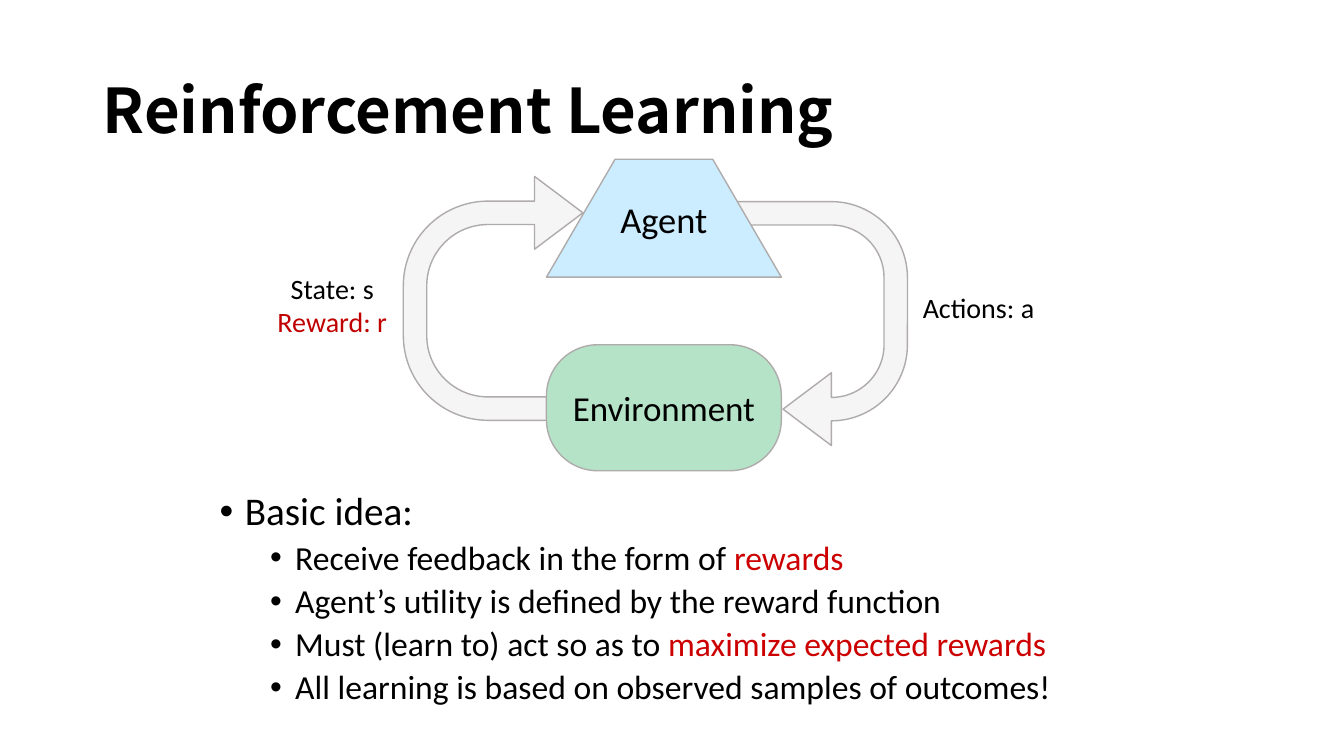
from lxml import etree
from pptx import Presentation
from pptx.dml.color import RGBColor
from pptx.enum.shapes import MSO_SHAPE
from pptx.enum.text import MSO_ANCHOR, MSO_AUTO_SIZE, PP_ALIGN
from pptx.oxml.ns import qn
from pptx.util import Inches, Pt

TRAP, ROUND, UTURN = (MSO_SHAPE.TRAPEZOID, MSO_SHAPE.ROUNDED_RECTANGLE,
                      MSO_SHAPE.U_TURN_ARROW)
TOP, MIDDLE = MSO_ANCHOR.TOP, MSO_ANCHOR.MIDDLE
LEFT, CENTER = PP_ALIGN.LEFT, PP_ALIGN.CENTER
BLACK, RED, DARK_RED = "000000", "CC0000", "C00000"
GRAY, EDGE = "F5F5F5", "AFABAB"

TITLE = "Reinforcement Learning"
# Each line is a list of (text, colour) runs.
IDEA = [
    [("Basic idea:", BLACK)],
    [("Receive feedback in the form of ", BLACK), ("rewards", RED)],
    [("Agent’s utility is defined by the reward function", BLACK)],
    [("Must (learn to) act so as to ", BLACK),
     ("maximize expected rewards", RED)],
    [("All learning is based on observed samples of outcomes!", BLACK)],
]
# Left, top, rotation, arrow tip position
ARROWS = [(3.75, 2, 270, 0.928), (6.83, 2.25, 90, 0.643)]
# Kind, top, height, adjustment, fill, text, size, anchor, top margin
NODES = [
    (ROUND, 3.42, 1.25, 0.406, "B5E3C8", "Environment", 25, MIDDLE, 0.05),
    (TRAP, 1.58, 1.17, 0.582, "CCECFF", "Agent", 26, TOP, 0.15),
]
# Left, top, height, lines
LABELS = [
    (8.83, 2.83, 0.44, [[("Actions: a", BLACK)]]),
    (2.42, 2.64, 0.77, [[("State: s", BLACK)], [("Reward: r", DARK_RED)]]),
]


def color(code):
    return RGBColor.from_string(code)


def bullet(para, left):
    props = para._p.get_or_add_pPr()
    props.set("marL", str(Inches(left)))
    props.set("indent", str(Inches(-0.25)))
    etree.SubElement(props, qn("a:buFont")).set("typeface", "Arial")
    etree.SubElement(props, qn("a:buChar")).set("char", "•")


def write(frame, lines, sizes, font="Calibri", bold=False, align=CENTER,
          anchor=TOP, space=None, before=0, marks=()):
    """Fill a frame; the last size and mark serve all further lines."""
    frame.word_wrap = True
    frame.auto_size = MSO_AUTO_SIZE.NONE
    frame.vertical_anchor = anchor
    for i, line in enumerate(lines):
        para = frame.add_paragraph() if i else frame.paragraphs[0]
        if marks:
            bullet(para, marks[min(i, len(marks) - 1)])
        para.alignment = align
        if space:
            para.line_spacing = space
        if i and before:
            para.space_before = Pt(before)
        for text, code in line:
            run = para.add_run()
            run.text = text
            run.font.name = font
            run.font.size = Pt(sizes[min(i, len(sizes) - 1)])
            run.font.bold = bold
            run.font.color.rgb = color(code)


def draw(slide, kind, box, fill, adjust):
    shape = slide.shapes.add_shape(kind, *map(Inches, box))
    shape.shadow.inherit = False
    shape.fill.solid()
    shape.fill.fore_color.rgb = color(fill)
    shape.line.color.rgb = color(EDGE)
    shape.line.width = Pt(1)
    for i, value in enumerate(adjust):
        shape.adjustments[i] = value
    return shape


def main():
    deck = Presentation()
    deck.slide_width, deck.slide_height = Inches(13.33), Inches(7.5)
    slide = deck.slides.add_slide(deck.slide_layouts[5])

    title = slide.shapes.title
    title.left, title.top = Inches(0.92), Inches(0.4)
    title.width, title.height = Inches(11.5), Inches(1.45)
    write(title.text_frame, [[(TITLE, BLACK)]], [44],
          font="Noto Sans CJK SC", bold=True, align=LEFT, anchor=MIDDLE,
          space=0.9)

    for left, top, turn, tip in ARROWS:
        arrow = draw(slide, UTURN, (left, top, 2.42, 1.92), GRAY,
                     (0.121, 0.188, 0.25, 0.438, tip))
        arrow.rotation = turn

    for kind, top, high, adjust, fill, text, size, anchor, inset in NODES:
        node = draw(slide, kind, (5.42, top, 2.33, high), fill, [adjust])
        frame = node.text_frame
        frame.margin_top = Inches(inset)
        # Keep the long word on one line inside the rounded corners.
        frame.margin_left = frame.margin_right = 0
        write(frame, [[(text, BLACK)]], [size], anchor=anchor)

    for left, top, high, lines in LABELS:
        label = slide.shapes.add_textbox(
            *map(Inches, (left, top, 1.75, high)))
        write(label.text_frame, lines, [20])

    body = slide.shapes.add_textbox(*map(Inches, (2.08, 4.83, 9.17, 2.25)))
    write(body.text_frame, IDEA, [28, 24], align=LEFT, space=0.9, before=5,
          marks=[0.25, 0.75])

    deck.save("out.pptx")


if __name__ == "__main__":
    main()
